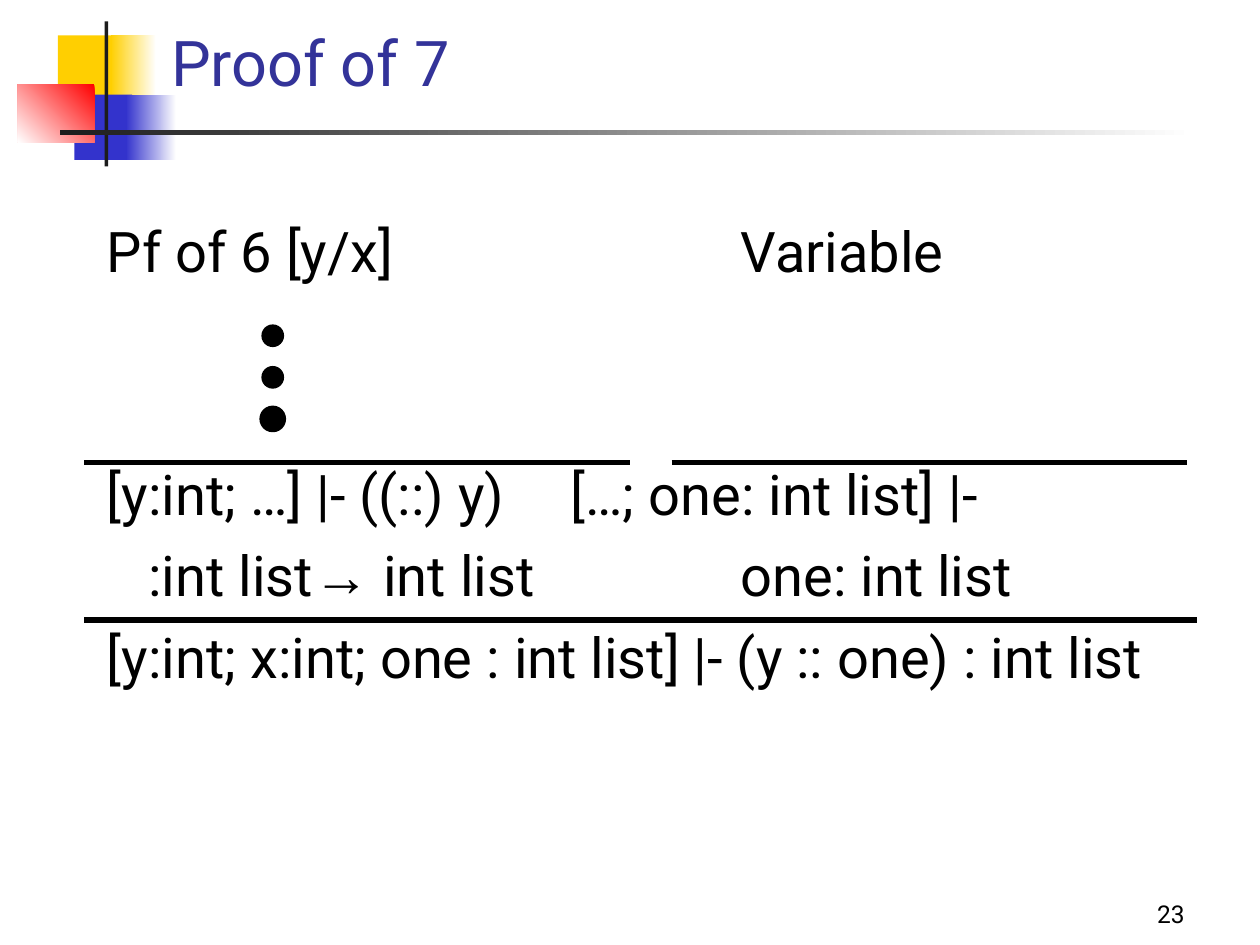
from lxml.etree import SubElement
from pptx import Presentation
from pptx.dml.color import RGBColor
from pptx.enum.shapes import MSO_CONNECTOR, MSO_SHAPE
from pptx.enum.text import MSO_ANCHOR, PP_ALIGN
from pptx.oxml.ns import qn
from pptx.util import Inches, Pt

COLORS = {"yellow": "FFCF01", "blue": "3333CC", "red": "FF0000", "white": "FFFFFF",
          "bar": "1C1C1C", "title": "333399", "ink": "000000"}
FONT, SYMBOL_FONT = "Roboto", "Arial"
LEFT_COL, RIGHT_COL = 0.75, 5.03  # body left edge; right premise, from the text edge


def rgb(name):
    return RGBColor.from_string(COLORS[name])


def add_block(s, kind, box, fill, fade_to=None, angle=180):
    """A borderless shape, plain or fading from one colour to another."""
    sp = s.shapes.add_shape(kind, *map(Inches, box))
    sp.shadow.inherit = False
    sp.line.fill.background()
    if fade_to:
        sp.fill.gradient()
        sp.fill.gradient_angle = angle
        for stop, color, position in zip(sp.fill.gradient_stops, (fill, fade_to), (0, 1)):
            stop.color.rgb = rgb(color)
            stop.position = position
    else:
        sp.fill.solid()
        sp.fill.fore_color.rgb = rgb(fill)
    return sp


def add_rule(s, x1, x2, y):
    line = s.shapes.add_connector(MSO_CONNECTOR.STRAIGHT,
                                  Inches(x1), Inches(y), Inches(x2), Inches(y))
    line.line.color.rgb = rgb("ink")
    line.line.width = Pt(3)
    SubElement(line._element.spPr, qn("a:effectLst"))


def add_text(s, box, rows, size, color="ink", anchor=MSO_ANCHOR.TOP, align=PP_ALIGN.LEFT):
    """Rows are (text, tab stops in inches); arrows take the symbol font."""
    tf = s.shapes.add_textbox(*map(Inches, box)).text_frame
    tf.word_wrap = True
    tf.vertical_anchor = anchor
    for i, (text, tabs) in enumerate(rows):
        p = tf.paragraphs[0] if i == 0 else tf.add_paragraph()
        p.alignment = align
        if i:
            p.space_before = Pt(8)
        if tabs:
            tab_list = SubElement(p._p.get_or_add_pPr(), qn("a:tabLst"))
            for tab in tabs:
                SubElement(tab_list, qn("a:tab"), pos=str(Inches(tab)), algn="l")
        before, arrow, after = text.partition("→")
        for part in filter(None, (before, arrow, after)):
            r = p.add_run()
            r.text = part
            r.font.name = SYMBOL_FONT if part == "→" else FONT
        p.font.size = Pt(size)
        p.font.color.rgb = rgb(color)
        for r in p.runs:
            r.font.size = Pt(size)
            r.font.color.rgb = rgb(color)


def add_ornament(s, x, y):
    """Overlapping squares with a crossing bar and rule."""
    rect = MSO_SHAPE.RECTANGLE
    for dx, dy, w, h, *fill in (
        (0.32, 0.11, 0.48, 0.52, "yellow"),
        (0.74, 0.11, 0.36, 0.52, "white", "yellow"),
        (0.45, 0.58, 0.46, 0.52, "blue"),
        (0.86, 0.58, 0.40, 0.52, "white", "blue"),
        (0.00, 0.50, 0.61, 0.46, "red", "white", 225),
        (0.69, 0.00, 0.03, 1.15, "bar"),
        (0.34, 0.86, 9.00, 0.04, "white", "bar"),
    ):
        add_block(s, rect, (x + dx, y + dy, w, h), *fill)


def add_dots(s, x, y, pitch=0.33, size=0.17):
    for i, width in enumerate((0.75, 0.75, 3)):
        dot = add_block(s, MSO_SHAPE.OVAL, (x, y + i * pitch, size, size), "ink")
        dot.line.color.rgb = rgb("ink")
        dot.line.width = Pt(width)


def add_proof(s, x, y, width):
    """Premises above, judgements below, divided by inference rules."""
    add_text(s, (x, y, width, 0.65), [("Pf of 6 [y/x]\tVariable", [RIGHT_COL])], 32)
    add_text(s, (x, y + 1.93, width, 2), [
        ("[y:int; …] |- ((::) y)\t[…; one: int list] |-", [3.68]),
        ("\t:int list→ int list\tone: int list", [0.33, RIGHT_COL]),
        ("[y:int; x:int; one : int list] |- (y :: one) : int list", []),
    ], 32)
    for x1, x2, dy in ((-0.08, 4.25, 2), (4.58, 8.67, 2), (-0.08, 8.75, 3.25)):
        add_rule(s, x + x1, x + x2, y + dy)
    add_dots(s, x + 1.33, y + 0.91)


def main():
    prs = Presentation()
    prs.slide_width, prs.slide_height = Inches(10), Inches(7.5)
    s = prs.slides.add_slide(prs.slide_layouts[6])
    add_ornament(s, 0.14, 0.17)
    add_text(s, (1.26, 0.18, 8.52, 0.66), [("Proof of 7", [])], 36, "title", MSO_ANCHOR.BOTTOM)
    add_proof(s, LEFT_COL, 1.67, 8.67)
    add_text(s, (7.42, 6.92, 2.08, 0.5), [("23", [])], 14,
             anchor=MSO_ANCHOR.BOTTOM, align=PP_ALIGN.RIGHT)
    prs.save("out.pptx")


if __name__ == "__main__":
    main()
